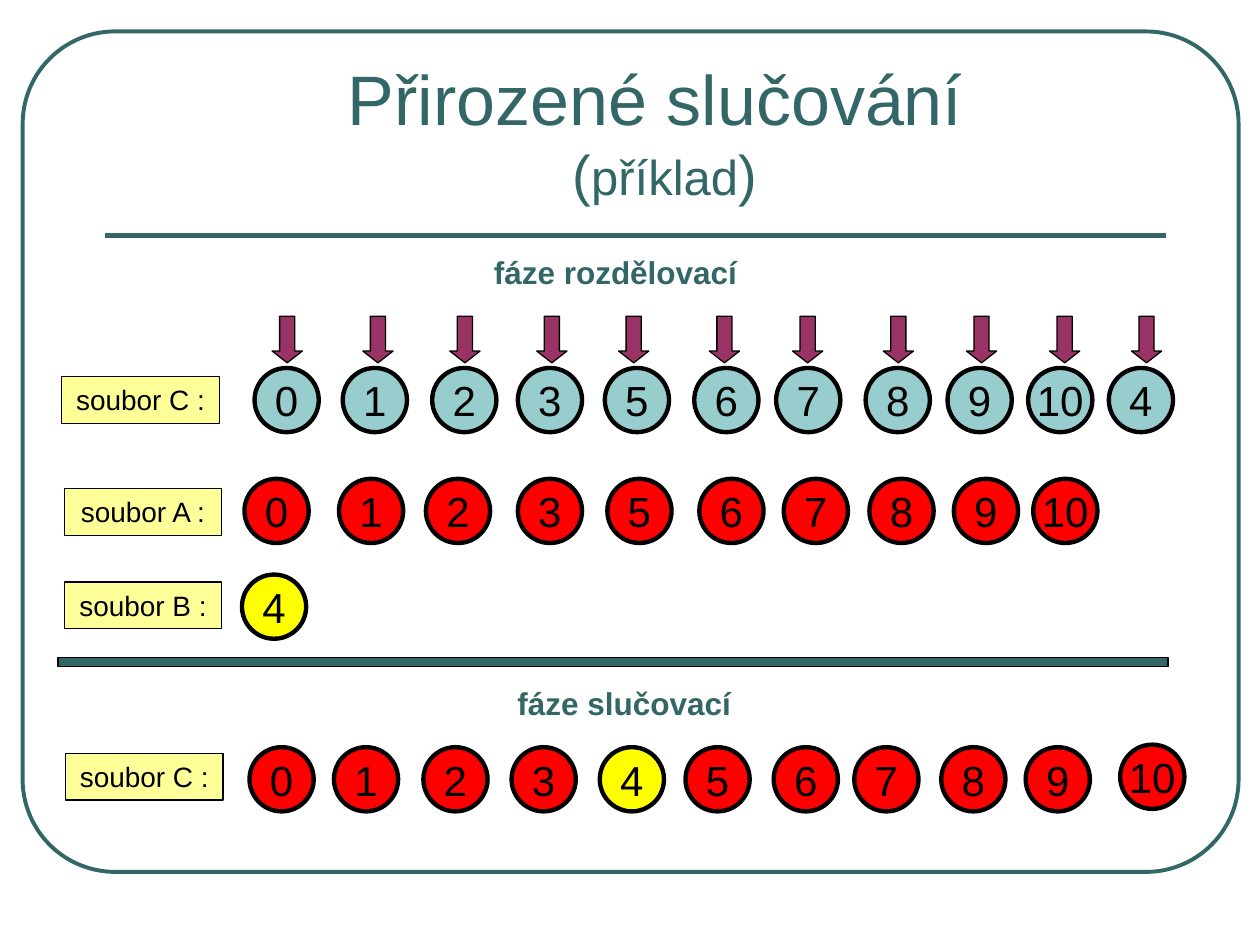
from pptx import Presentation
from pptx.dml.color import RGBColor as RGB
from pptx.enum.shapes import MSO_CONNECTOR as CONN, MSO_SHAPE as SHAPE
from pptx.enum.text import MSO_ANCHOR as ANCHOR, MSO_AUTO_SIZE as AUTO, PP_ALIGN as ALIGN
from pptx.oxml.ns import qn
from pptx.util import Inches, Pt
from lxml import etree

COLORS = {
    "teal": "336666",
    "light_teal": "97CDCC",
    "cream": "FFFF99",
    "red": "FF0000",
    "yellow": "FFFF00",
    "plum": "993366",
    "black": "000000",
}


class SlideBuilder:
    font = "Arial"
    circle_size = 0.51

    def __init__(self, prs):
        self.slide = prs.slides.add_slide(prs.slide_layouts[5])
        self.shapes = self.slide.shapes

    def color(self, name):
        return RGB.from_string(COLORS[name])

    def format_font(self, font, size, color="black", bold=False):
        values = {"name": self.font, "size": Pt(size), "bold": bold}
        for key, value in values.items():
            setattr(font, key, value)
        font.color.rgb = self.color(color)

    def set_text(self, sp, text, size, color="black", bold=False, anchor=ANCHOR.TOP, fit=AUTO.SHAPE_TO_FIT_TEXT):
        tf = sp.text_frame
        for key, value in {"word_wrap": False, "vertical_anchor": anchor, "auto_size": fit}.items():
            setattr(tf, key, value)
        p = tf.paragraphs[0]
        p.alignment = ALIGN.CENTER
        r = p.add_run()
        r.text = text
        self.format_font(r.font, size, color, bold)

    def shape(self, kind, box, fill=None, line="black", width=0.75, adjustments=()):
        sp = self.shapes.add_shape(kind, *map(Inches, box))
        sp.shadow.inherit = False
        if fill:
            sp.fill.solid()
            sp.fill.fore_color.rgb = self.color(fill)
        else:
            sp.fill.background()
        sp.line.color.rgb = self.color(line)
        sp.line.width = Pt(width)
        for i, value in enumerate(adjustments):
            sp.adjustments[i] = value
        return sp

    def rule(self, x1, x2, y):
        line = self.shapes.add_connector(CONN.STRAIGHT, Inches(x1), Inches(y), Inches(x2), Inches(y))
        line.line.color.rgb = self.color("teal")
        line.line.width = Pt(3)
        etree.SubElement(line._element.spPr, qn("a:effectLst"))

    def title(self, box, lines):
        sp = self.shapes.title
        for key, value in zip(("left", "top", "width", "height"), box):
            setattr(sp, key, Inches(value))
        tf = sp.text_frame
        for key, value in {"word_wrap": True, "vertical_anchor": ANCHOR.BOTTOM, "auto_size": AUTO.NONE}.items():
            setattr(tf, key, value)
        p = tf.paragraphs[0]
        p.alignment = ALIGN.CENTER
        for i, runs in enumerate(lines):
            if i:
                p.add_line_break()
            for text, size in runs:
                r = p.add_run()
                r.text = text
                self.format_font(r.font, size, "teal")

    def heading(self, box, text):
        sp = self.shapes.add_textbox(*map(Inches, box))
        self.set_text(sp, text, 18, "teal", bold=True)

    def label(self, x, y, text):
        sp = self.shape(SHAPE.RECTANGLE, (x, y, 1.25, 0.37), "cream")
        self.set_text(sp, text, 16)

    def circle(self, x, y, text, fill):
        size = self.circle_size
        sp = self.shape(SHAPE.OVAL, (x, y, size, size), fill, width=2.5)
        self.set_text(sp, text, 24, anchor=ANCHOR.MIDDLE, fit=AUTO.NONE)

    def arrow(self, x, y):
        self.shape(SHAPE.DOWN_ARROW, (x, y, 0.24, 0.37), "plum", adjustments=(0.5, 0.39))


def main():
    prs = Presentation()
    prs.slide_width, prs.slide_height = Inches(10), Inches(7.5)
    s = SlideBuilder(prs)

    s.shape(SHAPE.ROUNDED_RECTANGLE, (0.18, 0.25, 9.65, 6.67), line="teal", width=2.25, adjustments=(0.11,))
    s.rule(0.83, 9.25, 1.87)
    s.title((1.29, 0.74, 7.97, 0.95),
            [[("Přirozené slučování ", 40)], [("(", 32), ("příklad", 28), (")", 32)]])

    s.heading((3.78, 1.96, 2.21, 0.4), "fáze rozdělovací")
    for x in (2.16, 2.88, 3.57, 4.26, 4.91, 5.63, 6.29, 7.01, 7.67, 8.33, 8.98):
        s.arrow(x, 2.51)

    split_rows = [
        (2.92, "light_teal", [0, 1, 2, 3, 5, 6, 7, 8, 9, 10, 4],
         [2.02, 2.72, 3.43, 4.11, 4.8, 5.51, 6.16, 6.87, 7.52, 8.16, 8.8]),
        (3.8, "red", [0, 1, 2, 3, 5, 6, 7, 8, 9, 10],
         [1.94, 2.69, 3.38, 4.11, 4.82, 5.55, 6.22, 6.9, 7.57, 8.2]),
        (4.56, "yellow", [4], [1.92]),
    ]
    for y, fill, numbers, lefts in split_rows:
        for number, x in zip(numbers, lefts):
            s.circle(x, y, str(number), fill)

    s.shape(SHAPE.RECTANGLE, (0.46, 5.22, 8.81, 0.07), "teal")
    s.heading((3.99, 5.38, 1.93, 0.4), "fáze slučovací")
    merged_lefts = [1.98, 2.65, 3.36, 4.06, 4.76, 5.44, 6.14, 6.78, 7.47, 8.14, 8.89]
    for number, x in enumerate(merged_lefts):
        s.circle(x, 5.91 if number == 10 else 5.93, str(number), "yellow" if number == 4 else "red")

    for x, y, name in ((0.49, 2.99, "C"), (0.51, 3.88, "A"), (0.51, 4.62, "B"), (0.52, 5.98, "C")):
        s.label(x, y, f"soubor {name} :")

    prs.save("out.pptx")


if __name__ == "__main__":
    main()
